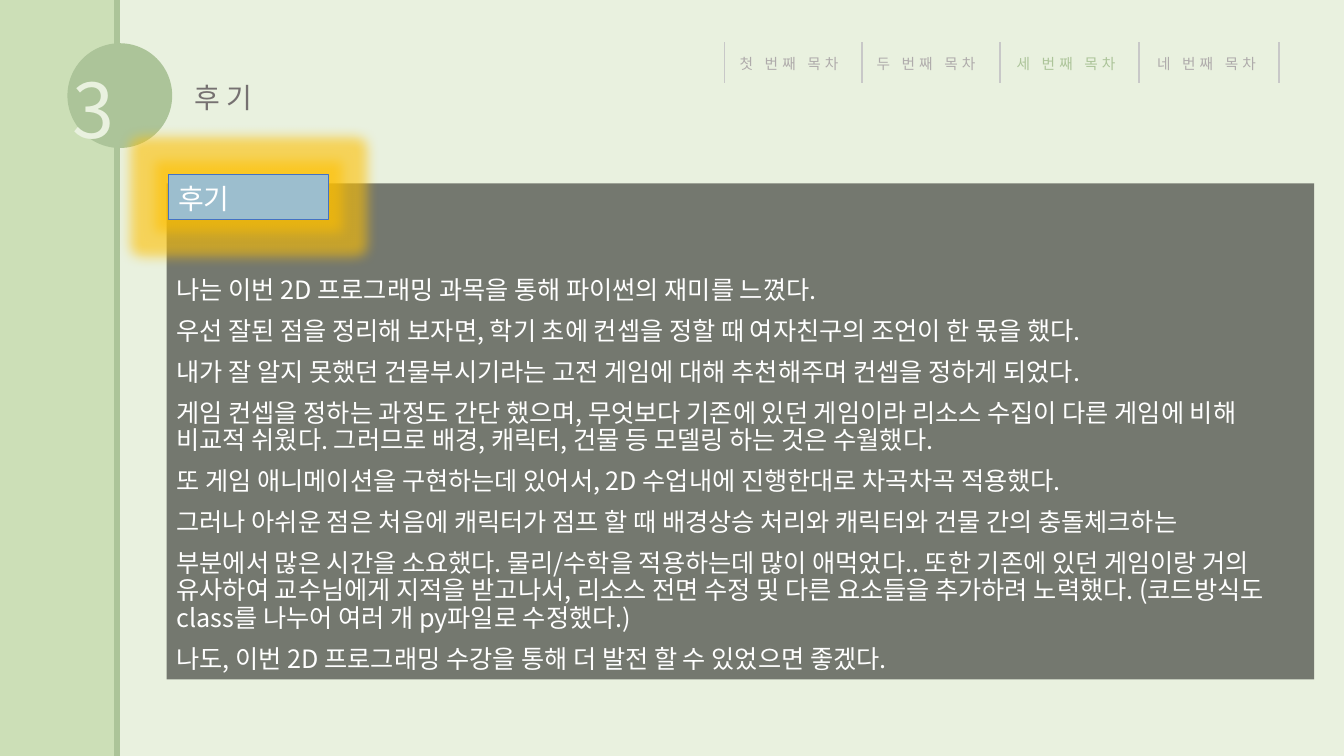
from dataclasses import dataclass

from lxml.etree import SubElement
from pptx import Presentation
from pptx.dml.color import RGBColor as Rgb
from pptx.enum.shapes import MSO_CONNECTOR as Link, MSO_SHAPE as Form
from pptx.enum.text import MSO_ANCHOR as Anchor, PP_ALIGN as Align
from pptx.oxml.ns import qn
from pptx.util import Cm, Pt


@dataclass(frozen=True)
class Theme:
    font: str = "Noto Sans CJK KR"
    page: str = "E9F1DF"
    band: str = "CCDFB7"
    leaf: str = "ACC499"
    title: str = "767171"
    tab: str = "AFABAB"
    rule: str = "C8C8C8"
    panel: str = "000000"
    label: str = "9CBECE"
    edge: str = "4472C4"
    glow: str = "FFC000"
    white: str = "FFFFFF"
    digit: float = 54
    head: float = 20
    body: float = 18
    small: float = 10.5
    lead: float = 1.28  # line height of single lines, in ems


@dataclass(frozen=True)
class Box:
    left: float
    top: float
    width: float
    height: float

    def cm(self) -> list:
        return [Cm(v) for v in (self.left, self.top, self.width, self.height)]


@dataclass(frozen=True)
class Block:
    form: Form
    box: Box
    fill: str
    edge: str = ""


@dataclass(frozen=True)
class Rule:
    left: float
    top: float
    end: float
    color: str
    width: float


@dataclass(frozen=True)
class Words:
    box: Box
    text: str
    size: float
    color: str
    wrap: bool = False
    track: int = 0


@dataclass(frozen=True)
class Tab:
    rule: float
    left: float
    text: str
    color: str


LOOK = Theme()
HIGH = 19.05

TABS = [
    Tab(18.26, 18.39, "첫 번째 목차", LOOK.tab),
    Tab(21.72, 21.84, "두 번째 목차", LOOK.tab),
    Tab(25.2, 25.37, "세 번째 목차", LOOK.leaf),
    Tab(28.7, 28.91, "네 번째 목차", LOOK.tab),
]
LAST = 32.23

BODY = [
    "나는 이번 2D 프로그래밍 과목을 통해 파이썬의 재미를 느꼈다.",
    "우선 잘된 점을 정리해 보자면, 학기 초에 컨셉을 정할 때 여자친구의 조언이 한 몫을 했다.",
    "내가 잘 알지 못했던 건물부시기라는 고전 게임에 대해 추천해주며 컨셉을 정하게 되었다.",
    "게임 컨셉을 정하는 과정도 간단 했으며, 무엇보다 기존에 있던 게임이라 리소스 수집이 "
    "다른 게임에 비해 비교적 쉬웠다. 그러므로 배경, 캐릭터, 건물 등 모델링 하는 것은 수월했다.",
    "또 게임 애니메이션을 구현하는데 있어서, 2D 수업내에 진행한대로 차곡차곡 적용했다.",
    "그러나 아쉬운 점은 처음에 캐릭터가 점프 할 때 배경상승 처리와 캐릭터와 건물 간의 충돌체크하는",
    "부분에서 많은 시간을 소요했다. 물리/수학을 적용하는데 많이 애먹었다.. 또한 기존에 있던 "
    "게임이랑 거의 유사하여 교수님에게 지적을 받고나서, 리소스 전면 수정 및 다른 요소들을 "
    "추가하려 노력했다. (코드방식도 class를 나누어 여러 개 py파일로 수정했다.)",
    "나도, 이번 2D 프로그래밍 수강을 통해 더 발전 할 수 있었으면 좋겠다.",
]


def assign(item, form: dict) -> None:
    for key, value in form.items():
        setattr(item, key, value)


def block(slide, part: Block):
    shape = slide.shapes.add_shape(part.form, *part.box.cm())
    shape.shadow.inherit = False
    shape.fill.solid()
    shape.fill.fore_color.rgb = Rgb.from_string(part.fill)
    if part.edge:
        shape.line.color.rgb = Rgb.from_string(part.edge)
        shape.line.width = Pt(0.5)
    else:
        shape.line.fill.background()
    return shape


def rule(slide, part: Rule) -> None:
    line = slide.shapes.add_connector(
        Link.STRAIGHT, Cm(part.left), Cm(part.top), Cm(part.left), Cm(part.end))
    line.line.color.rgb = Rgb.from_string(part.color)
    line.line.width = Pt(part.width)
    SubElement(line.element.spPr, qn("a:effectLst"))


def write(para, text: str, size: float, color: str, form: dict, track: int = 0) -> None:
    assign(para, {"alignment": Align.LEFT, **form})
    run = para.add_run()
    run.text = text
    assign(run.font, {"name": LOOK.font, "size": Pt(size)})
    run.font.color.rgb = Rgb.from_string(color)
    props = run.font._element
    SubElement(props, qn("a:ea")).set("typeface", LOOK.font)
    if track:
        props.set("spc", str(track * 100))


def words(shape, part: Words) -> None:
    frame = shape.text_frame
    assign(frame, {"word_wrap": part.wrap, "vertical_anchor": Anchor.TOP})
    write(frame.paragraphs[0], part.text, part.size, part.color,
          {"line_spacing": Pt(part.size * LOOK.lead)}, part.track)


def label(slide, part: Words) -> None:
    words(slide.shapes.add_textbox(*part.box.cm()), part)


def tint(host, color: str, share: int) -> None:
    fill = SubElement(host, qn("a:srgbClr"), val=color)
    SubElement(fill, qn("a:alpha"), val=str(share * 1000))


def main() -> None:
    deck = Presentation()
    assign(deck, {"slide_width": Cm(33.87), "slide_height": Cm(HIGH)})
    slide = deck.slides.add_slide(deck.slide_layouts[6])
    slide.background.fill.solid()
    slide.background.fill.fore_color.rgb = Rgb.from_string(LOOK.page)

    # Side band and chapter number
    block(slide, Block(Form.RECTANGLE, Box(0, 0, 3, HIGH), LOOK.band))
    rule(slide, Rule(2.95, 0, HIGH, LOOK.leaf, 4))
    block(slide, Block(Form.OVAL, Box(1.7, 1.09, 2.64, 2.64), LOOK.leaf))
    label(slide, Words(Box(1.57, 1.3, 0.9, 2.57), "3", LOOK.digit, LOOK.page, True))
    label(slide, Words(Box(4.65, 1.85, 2.18, 1.12), "후 기", LOOK.head, LOOK.title))

    # Chapter tabs, with a rule before each and one after the last
    for left in [tab.rule for tab in TABS] + [LAST]:
        rule(slide, Rule(left, 1.07, 2.08, LOOK.rule, 1))
    for tab in TABS:
        label(slide, Words(Box(tab.left, 1.22, 3.15, 0.71), tab.text,
                           LOOK.small, tab.color, track=3))

    # Half-clear panel with the review
    panel = block(slide, Block(Form.RECTANGLE, Box(4.2, 4.62, 28.92, 12.5), LOOK.panel))
    fill = panel.element.spPr.find(qn("a:solidFill"))
    fill.remove(fill[0])
    tint(fill, LOOK.panel, 50)
    frame = panel.text_frame
    assign(frame, {"word_wrap": True, "vertical_anchor": Anchor.BOTTOM,
                   "margin_bottom": Cm(0.15)})
    for rank, text in enumerate(BODY):
        para = frame.add_paragraph() if rank else frame.paragraphs[0]
        write(para, text, LOOK.body, LOOK.white,
              {"line_spacing": Pt(19.6), "space_before": Pt(9.7 if rank else 0)})

    # Glowing heading
    spot = Box(4.24, 4.4, 4.04, 1.12)
    head = block(slide, Block(Form.RECTANGLE, spot, LOOK.label, LOOK.edge))
    words(head, Words(spot, "후기", LOOK.head, LOOK.white, True))
    glow = SubElement(head.element.spPr.find(qn("a:effectLst")), qn("a:glow"),
                      rad=str(Pt(18)))
    tint(glow, LOOK.glow, 60)

    deck.save("out.pptx")


if __name__ == "__main__":
    main()
